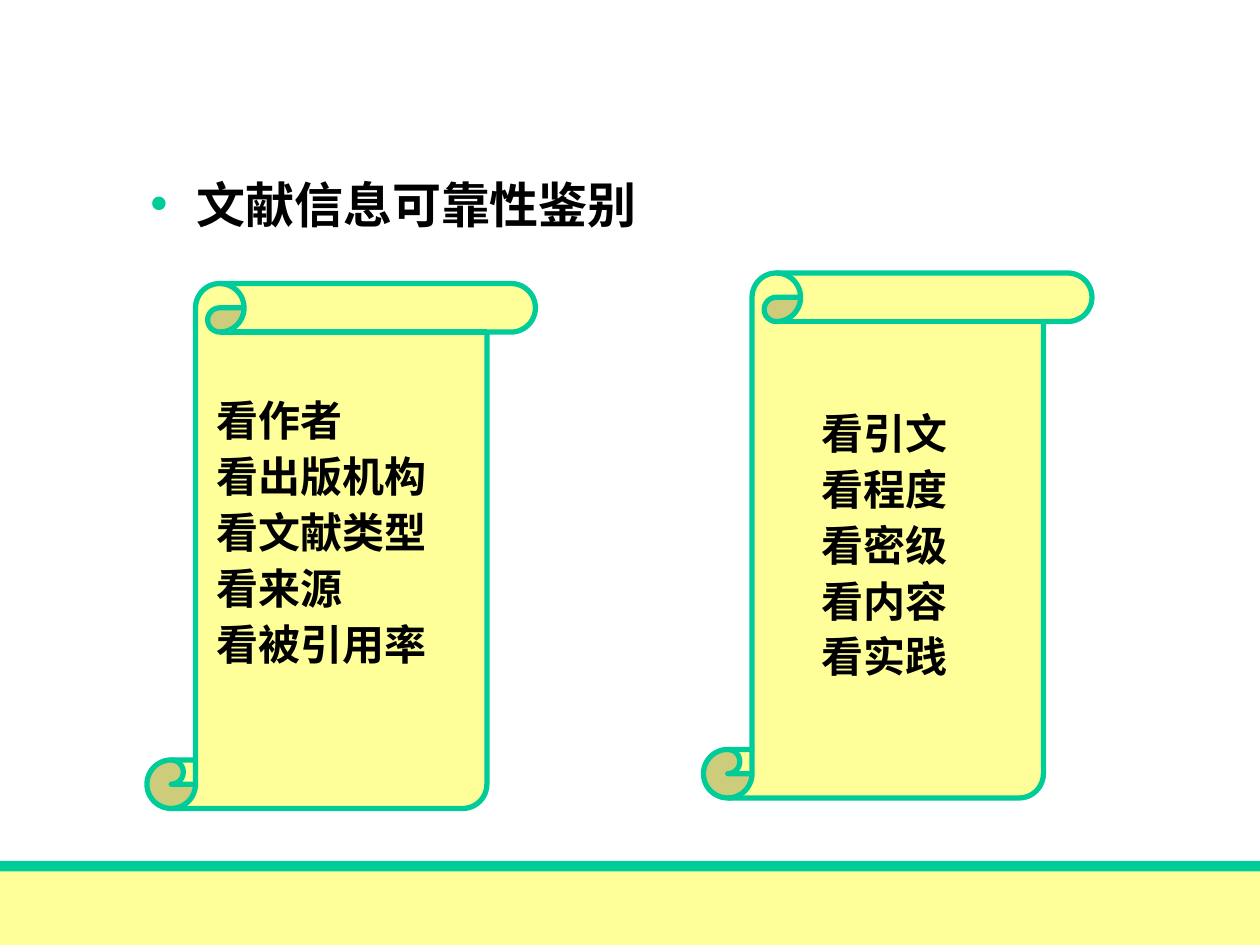
from dataclasses import dataclass

from lxml import etree
from pptx import Presentation
from pptx.dml.color import RGBColor
from pptx.enum.shapes import MSO_SHAPE
from pptx.enum.text import MSO_ANCHOR, MSO_AUTO_SIZE, PP_ALIGN
from pptx.oxml.ns import qn
from pptx.util import Pt

RECTANGLE = MSO_SHAPE.RECTANGLE
SCROLL = MSO_SHAPE.VERTICAL_SCROLL
TOP, MIDDLE = MSO_ANCHOR.TOP, MSO_ANCHOR.MIDDLE
LEFT = PP_ALIGN.LEFT
NO_AUTOFIT = MSO_AUTO_SIZE.NONE


@dataclass(frozen=True)
class Theme:
    font: str = "Times New Roman"
    ink: RGBColor = RGBColor(0, 0, 0)
    paper: RGBColor = RGBColor(0xFF, 0xFF, 0x99)
    accent: RGBColor = RGBColor(0x00, 0xCC, 0x99)
    heading_size: int = 28
    item_size: int = 24


theme = Theme()


def write_text(frame, lines, *, size, anchor, insets, spacing=1.0, gap=0, bullet=None):
    frame.word_wrap = True
    frame.auto_size = NO_AUTOFIT
    frame.vertical_anchor = anchor
    frame.margin_left, frame.margin_top, frame.margin_right, frame.margin_bottom = map(Pt, insets)
    for index, line in enumerate(lines):
        paragraph = frame.add_paragraph() if index else frame.paragraphs[0]
        paragraph.alignment = LEFT
        paragraph.line_spacing = spacing
        paragraph.space_before = Pt(gap if index else 0)
        if bullet:
            properties = paragraph._p.get_or_add_pPr()
            properties.set("marL", str(Pt(27)))
            properties.set("indent", str(-Pt(27)))
            color = etree.SubElement(properties, qn("a:buClr"))
            etree.SubElement(color, qn("a:srgbClr"), val=str(theme.accent))
            etree.SubElement(properties, qn("a:buSzPct"), val="115000")
            etree.SubElement(properties, qn("a:buFont"), typeface=theme.font)
            etree.SubElement(properties, qn("a:buChar"), char=bullet)
        run = paragraph.add_run()
        run.text = line
        run.font.name = theme.font
        run.font.size = Pt(size)
        run.font.bold = True
        run.font.color.rgb = theme.ink


def add_filled(kind, left, top, width, height, color):
    shape = slide.shapes.add_shape(kind, Pt(left), Pt(top), Pt(width), Pt(height))
    shape.shadow.inherit = False
    shape.fill.solid()
    shape.fill.fore_color.rgb = color
    shape.line.fill.background()
    return shape


deck = Presentation()
deck.slide_width, deck.slide_height = Pt(720), Pt(540)
slide = deck.slides.add_slide(deck.slide_layouts[5])

heading = slide.shapes.title
heading.left, heading.top, heading.width, heading.height = map(Pt, (78, 96, 456, 60))
write_text(
    heading.text_frame, ["文献信息可靠性鉴别"],
    size=theme.heading_size, anchor=TOP, insets=(7.2, 3.6, 7.2, 3.6), bullet="•",
)

for height, color in ((48, theme.paper), (6, theme.accent)):
    add_filled(RECTANGLE, 0, 492, 720, height, color)

scrolls = [
    (84, 162, (12, 3.6, 7.2, 30), ["看作者", "看出版机构", "看文献类型", "看来源", "看被引用率"]),
    (402, 156, (39.5, 3.6, 7.2, 3.6), ["看引文", "看程度", "看密级", "看内容", "看实践"]),
]
for left, top, insets, checks in scrolls:
    scroll = add_filled(SCROLL, left, top, 222, 300, theme.paper)
    scroll.adjustments[0] = 0.125
    scroll.line.color.rgb = theme.accent
    scroll.line.width = Pt(3)
    write_text(
        scroll.text_frame, checks, size=theme.item_size, anchor=MIDDLE,
        insets=insets, spacing=0.9, gap=6,
    )

deck.save("out.pptx")
